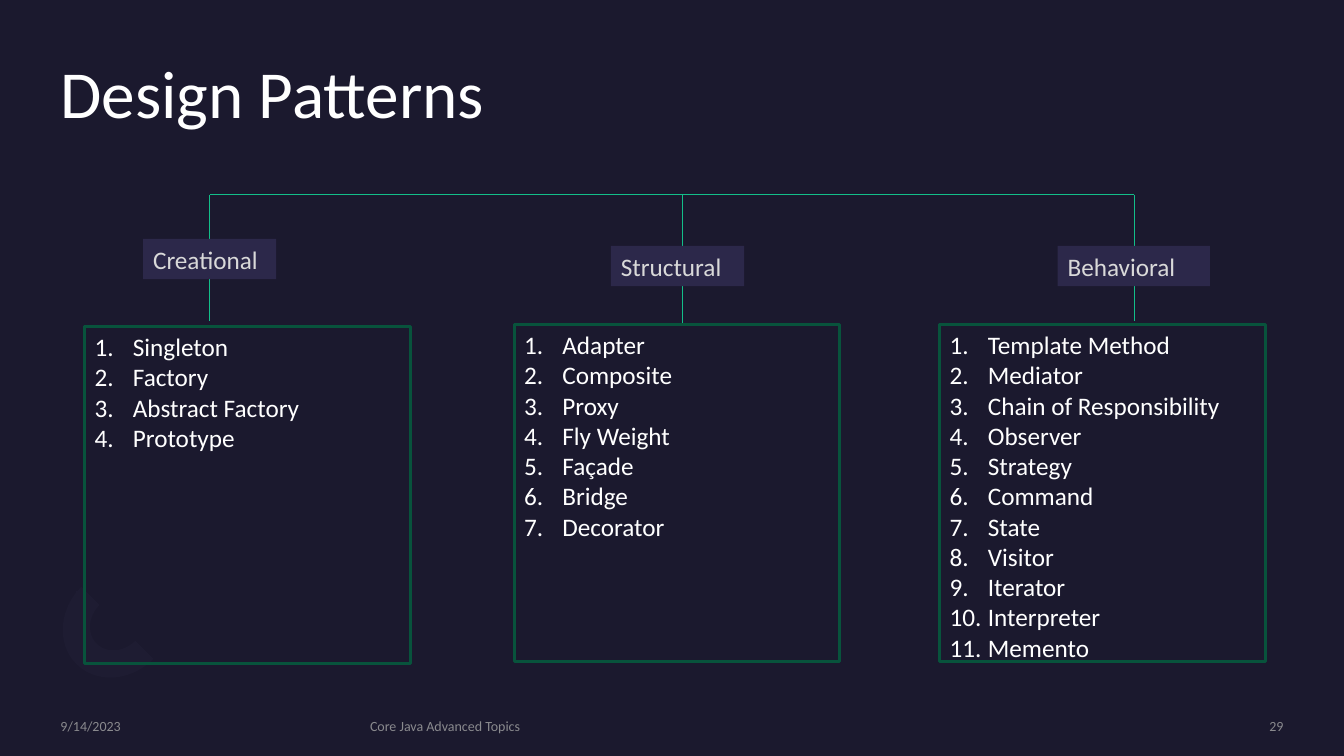
from math import cos, pi, sin

from lxml.etree import SubElement
from pptx import Presentation
from pptx.dml.color import RGBColor
from pptx.enum.shapes import MSO_CONNECTOR as Connector, MSO_SHAPE as Shape
from pptx.enum.text import MSO_ANCHOR as Anchor, MSO_AUTO_SIZE as AutoSize, PP_ALIGN as Align
from pptx.oxml.ns import qn
from pptx.util import Inches, Pt

CELL = Inches(0.1)  # side of one grid cell
color = RGBColor.from_string


def cells(*counts):
    """Turn columns and rows of the grid into lengths."""
    return [round(count * CELL) for count in counts]


def write(shape, *lines, size=18, hue="FFFFFF", align=Align.LEFT, anchor=Anchor.TOP,
          inset=True, spacing=1.0, numbered=False):
    frame = shape.text_frame
    frame.word_wrap = True
    frame.auto_size = AutoSize.NONE
    frame.vertical_anchor = anchor
    if not inset:
        frame.margin_left = frame.margin_right = frame.margin_top = frame.margin_bottom = 0
    for index, line in enumerate(lines):
        paragraph = frame.paragraphs[0] if index == 0 else frame.add_paragraph()
        paragraph.alignment = align
        paragraph.line_spacing = spacing
        if numbered:
            properties = paragraph._p.get_or_add_pPr()
            properties.set("marL", str(Inches(0.38)))
            properties.set("indent", str(-Inches(0.38)))
            SubElement(properties, qn("a:buFont"), typeface="+mj-lt")
            SubElement(properties, qn("a:buAutoNum"), type="arabicPeriod")
        run = paragraph.add_run()
        run.text = line
        run.font.name = "Calibri"
        run.font.size = Pt(size)
        run.font.color.rgb = color(hue)


presentation = Presentation()
presentation.slide_width, presentation.slide_height = Inches(13.33), Inches(7.5)
slide = presentation.slides.add_slide(presentation.slide_layouts[5])
shapes = slide.shapes
slide.background.fill.solid()
slide.background.fill.fore_color.rgb = color("1B192E")

# Title
title = shapes.title
title.left, title.top, title.width, title.height = cells(6, 6, 121.3, 14.6)
write(title, "Design Patterns", size=48, inset=False, spacing=0.9)

# Corner ornament: two slanted petals and a half ring
ornaments = []
for left, top in ((13.5, 63.7), (8.2, 58.3)):
    petal = shapes.add_shape(Shape.OVAL, *cells(left, top, 0.6, 2.6))
    petal.rotation = 135
    ornaments.append((petal, "2C284A"))

steps = 24
ring = []
for across, deep, order in ((5.05, 5.75, range(steps + 1)), (2.5, 2.9, range(steps, -1, -1))):
    for step in order:
        along = across * cos(pi * step / steps)
        out = deep * sin(pi * step / steps)
        ring.append(cells(11.65 + (along - out) * 0.71, 61.8 + (along + out) * 0.71))
builder = shapes.build_freeform(*ring[0])
builder.add_line_segments(ring[1:], close=True)
ornaments.append((builder.convert_to_shape(), "1E1C32"))

for ornament, hue in ornaments:
    ornament.shadow.inherit = False
    ornament.fill.solid()
    ornament.fill.fore_color.rgb = color(hue)
    ornament.line.fill.background()

# Footer
for text, left, width, align in (
    ("9/14/2023", 6, 28.8, Align.LEFT),
    ("Core Java Advanced Topics", 36.7, 69.8, Align.LEFT),
    ("29", 108.8, 18.5, Align.RIGHT),
):
    footer = shapes.add_textbox(*cells(left, 71.2, width, 1.7))
    write(footer, text, size=10, hue="8A8A8E", align=align, anchor=Anchor.MIDDLE, inset=False)

# Tree: one crossbar and a drop for each category
bar = 19.3
for start_x, start_y, end_x, end_y, weight in (
    (20.8, bar, 112.5, bar, 0.5),
    (20.8, bar, 20.8, 31.8, 0.5),
    (67.7, bar, 67.7, 32.2, 1),
    (112.5, bar, 112.5, 31.8, 0.5),
):
    branch = shapes.add_connector(Connector.STRAIGHT, *cells(start_x, start_y, end_x, end_y))
    branch.line.color.rgb = color("13BE89")
    branch.line.width = Pt(weight)
    SubElement(branch._element.spPr, qn("a:effectLst"))

# Categories: label at (left, top, width), list at (left, top)
categories = (
    ("Creational", (14.2, 23.7, 13.2), (8.4, 32.4),
     ("Singleton", "Factory", "Abstract Factory", "Prototype")),
    ("Structural", (60.6, 24.4, 13.2), (51, 32.2),
     ("Adapter", "Composite", "Proxy", "Fly Weight", "Façade", "Bridge", "Decorator")),
    ("Behavioral", (104.9, 24.4, 15.1), (93.2, 32.2),
     ("Template Method", "Mediator", "Chain of Responsibility", "Observer", "Strategy",
      "Command", "State", "Visitor", "Iterator", "Interpreter", "Memento")),
)
for name, label_place, list_place, patterns in categories:
    box = shapes.add_shape(Shape.RECTANGLE, *cells(*list_place, 32.3, 33.4))
    box.shadow.inherit = False
    box.fill.background()
    box.line.color.rgb = color("08533C")
    box.line.width = Pt(2.25)
    write(box, *patterns, numbered=True)

    label = shapes.add_shape(Shape.RECTANGLE, *cells(*label_place, 4))
    label.shadow.inherit = False
    label.fill.solid()
    label.fill.fore_color.rgb = color("2C284A")
    label.line.fill.background()
    write(label, name, hue="D9D9D9")

presentation.save("out.pptx")
